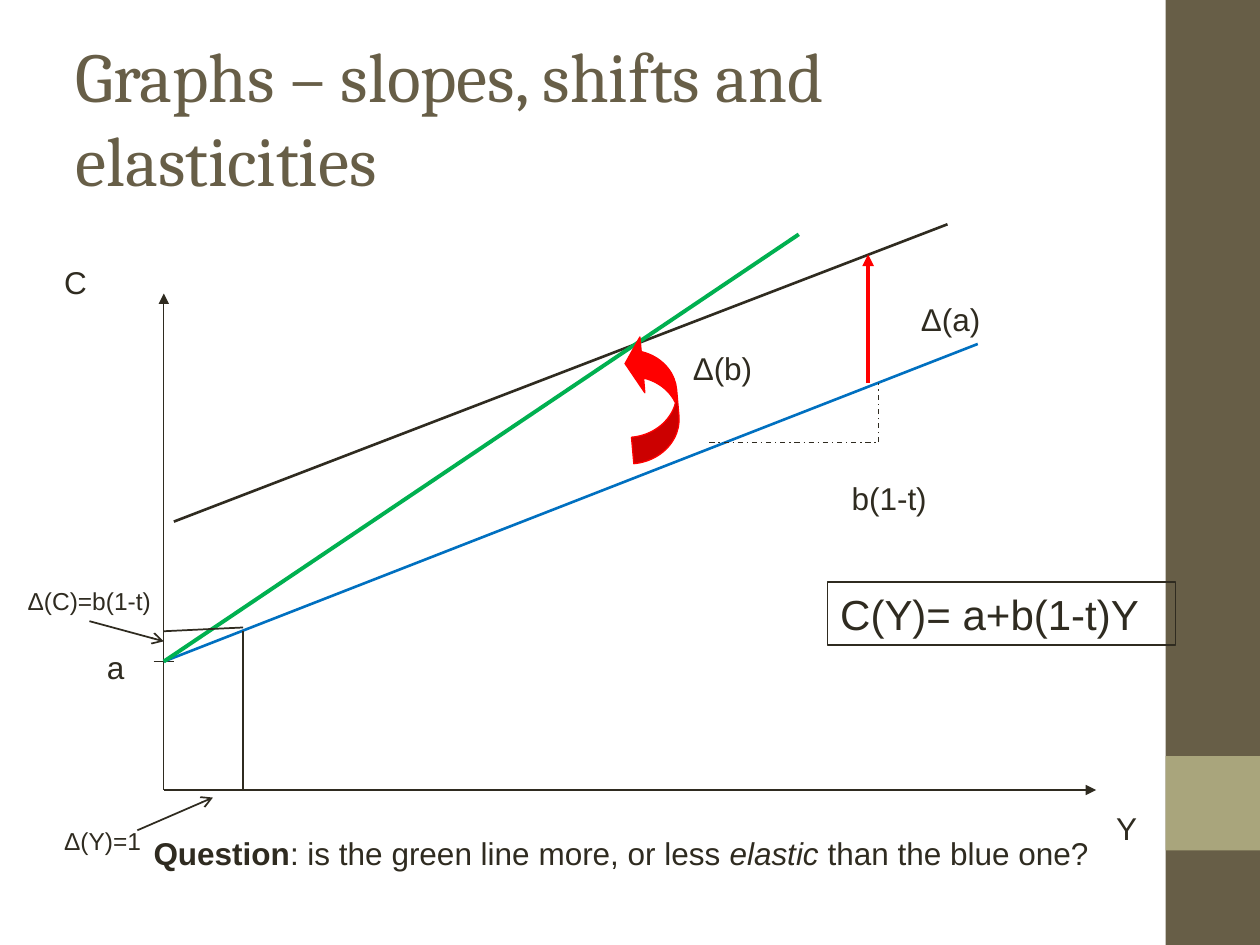
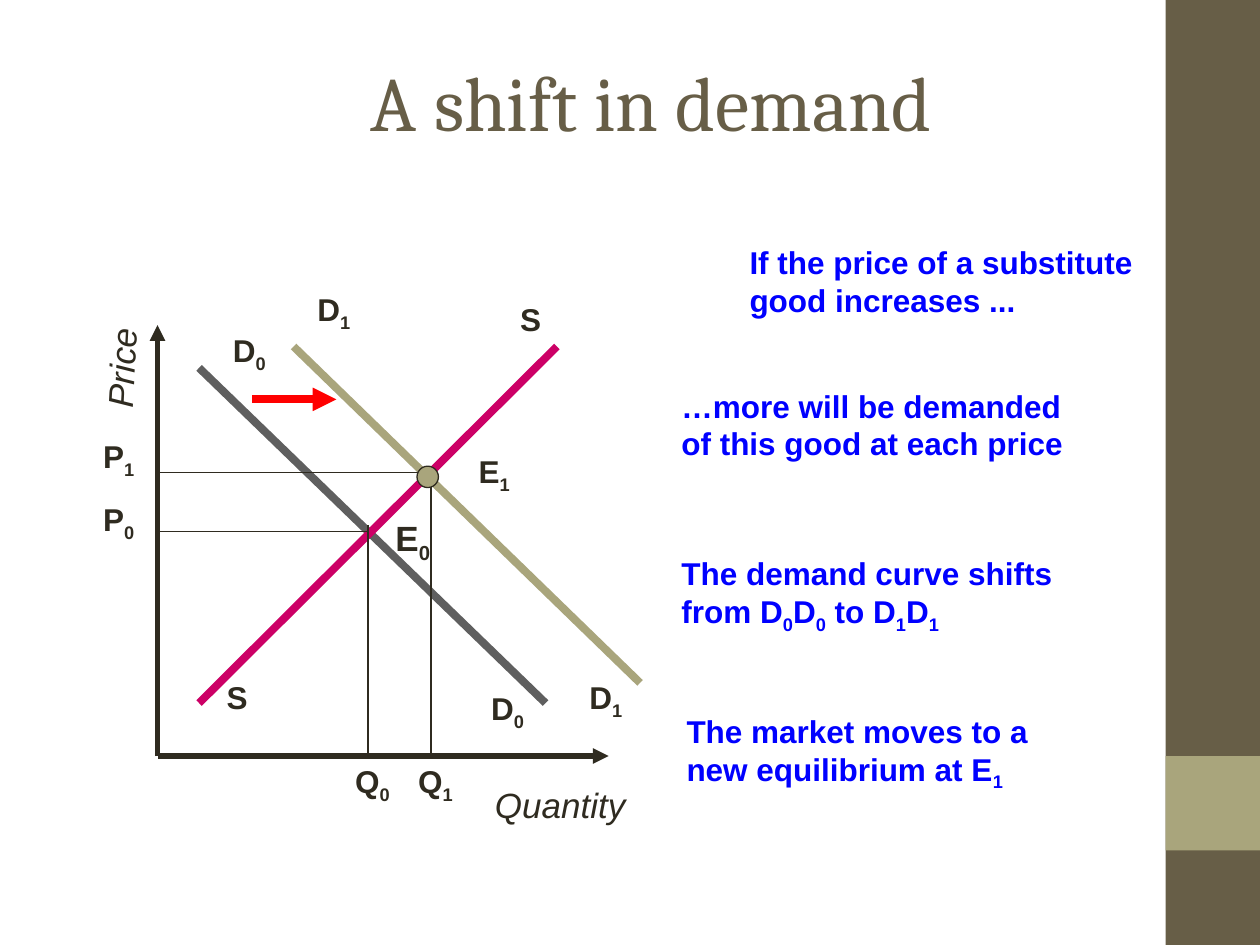
from dataclasses import dataclass
from lxml.etree import SubElement
from pptx import Presentation
from pptx.dml.color import RGBColor
from pptx.enum.dml import MSO_LINE
from pptx.enum.shapes import MSO_CONNECTOR, MSO_SHAPE
from pptx.enum.text import MSO_ANCHOR, MSO_AUTO_SIZE, PP_ALIGN
from pptx.oxml.ns import qn
from pptx.util import Inches, Pt


@dataclass(frozen=True)
class Theme:
    """Colours, fonts, type sizes and line widths of the deck."""
    ink: str = "2F2B20"
    brown: str = "675E47"
    sage: str = "A9A57C"
    red: str = "FF0000"
    green: str = "00B050"
    blue: str = "0070C0"
    note: str = "0000FF"
    grey: str = "5F5F5F"
    magenta: str = "CC0066"
    heading: str = "Cambria"
    body: str = "Arial"
    title: int = 40
    large_title: int = 44
    formula: int = 24
    axis: int = 20
    label: int = 18
    small: int = 14
    hair: float = 0.74
    thin: float = 1
    medium: float = 1.5
    strong: float = 2.25
    heavy: float = 3
    curve: float = 4.5


theme = Theme()


def add_text(page, area, paras, size=theme.label, color=theme.ink,
             font=theme.body, right_inset=0):
    """Add a text box; a para is a list of (text, style), "_" lowers the next character."""
    box = page.shapes.add_textbox(*map(Inches, area))
    frame = box.text_frame
    frame.word_wrap = True
    frame.auto_size = MSO_AUTO_SIZE.NONE
    frame.margin_right = Inches(right_inset)
    for index, pieces in enumerate(paras):
        para = frame.paragraphs[0] if index == 0 else frame.add_paragraph()
        for text, style in pieces:
            start, *rest = text.split("_")
            spans = [(start, False)]
            for part in rest:
                spans += [(part[0], True), (part[1:], False)]
            for words, lowered in spans:
                if not words:
                    continue
                span = para.add_run()
                span.text = words
                span.font.name = font
                span.font.size = Pt(size)
                span.font.bold = "b" in style
                span.font.italic = "i" in style
                span.font.color.rgb = RGBColor.from_string(color)
                if lowered:
                    span.font._element.set("baseline", "-25000")
    return box


def add_line(page, start, end, color=theme.ink, width=theme.hair, head=None, dash=None):
    """Add a straight line, with an optional arrowhead at its end."""
    line = page.shapes.add_connector(MSO_CONNECTOR.STRAIGHT,
                                     *map(Inches, (*start, *end)))
    line.line.color.rgb = RGBColor.from_string(color)
    line.line.width = Pt(width)
    if dash:
        line.line.dash_style = dash
    properties = line._element.spPr
    if head:
        SubElement(properties.find(qn("a:ln")), qn("a:tailEnd"), type=head)
    SubElement(properties, qn("a:effectLst"))


deck = Presentation()
deck.slide_width, deck.slide_height = Inches(10), Inches(7.5)
graphs, demand = [deck.slides.add_slide(deck.slide_layouts[6]) for _ in range(2)]

# Side band and titles
for page in (graphs, demand):
    for top, height, color in ((0, 7.5, theme.brown), (6, 0.75, theme.sage)):
        band = page.shapes.add_shape(MSO_SHAPE.RECTANGLE, Inches(9.25), Inches(top),
                                     Inches(0.75), Inches(height))
        band.shadow.inherit = False
        band.fill.solid()
        band.fill.fore_color.rgb = RGBColor.from_string(color)
        band.line.fill.background()

title = add_text(graphs, (0.5, 0.3, 8.33, 1.25),
                 [[("Graphs – slopes, shifts and elasticities", "")]],
                 theme.title, theme.brown, theme.heading, right_inset=0.1)
title.text_frame.vertical_anchor = MSO_ANCHOR.MIDDLE

title = add_text(demand, (0.92, 0.38, 8.5, 1.21), [[("A shift in demand", "")]],
                 theme.large_title, theme.brown, theme.heading, right_inset=0.1)
title.text_frame.paragraphs[0].alignment = PP_ALIGN.CENTER

# Slide 1: consumption function
origin = (1.3, 6.27)
intercept = (1.3, 5.25)
corner = (6.97, 3.51)
for end in ((8.7, 6.27), (1.3, 2.33)):
    add_line(graphs, origin, end, head="triangle")
add_line(graphs, (1.22, 5.25), (1.38, 5.25))
add_line(graphs, intercept, (7.76, 2.73), theme.blue, theme.medium)
for start, end in (((5.63, 3.51), corner), (corner, (6.97, 3.04))):
    add_line(graphs, start, end, dash=MSO_LINE.DASH_DOT)
add_line(graphs, (1.38, 4.14), (7.52, 1.78), width=theme.medium)
add_line(graphs, (6.89, 3.04), (6.89, 2.02), theme.red, theme.strong, "triangle")
add_line(graphs, intercept, (6.34, 1.86), theme.green, theme.strong)
for start, end, head in (
    ((1.93, 5.01), (1.93, 6.27), None),
    ((1.93, 4.98), (1.3, 5.01), None),
    ((1.09, 6.59), (1.69, 6.33), "arrow"),
    ((0.71, 4.93), (1.3, 5.09), "arrow"),
):
    add_line(graphs, start, end, width=theme.thin, head=head)

turn = graphs.shapes.add_shape(MSO_SHAPE.CURVED_UP_ARROW, Inches(4.67), Inches(2.96),
                               Inches(1.02), Inches(0.39))
turn.rotation = 265
for index, value in enumerate((0.54, 1.14, 0.35)):
    turn.adjustments[index] = value
turn.shadow.inherit = False
turn.fill.solid()
turn.fill.fore_color.rgb = RGBColor.from_string(theme.red)
turn.line.color.rgb = RGBColor.from_string(theme.red)
turn.line.width = Pt(theme.hair)

for text, left, top, width, height, size in (
    ("C", 0.41, 2.04, 0.38, 0.4, theme.label),
    ("Y", 8.76, 6.37, 0.36, 0.4, theme.label),
    ("a", 0.75, 5.09, 0.34, 0.4, theme.label),
    ("b(1-t)", 6.66, 3.75, 0.79, 0.4, theme.label),
    ("Δ(a)", 7.21, 2.33, 0.67, 0.4, theme.label),
    ("Δ(b)", 5.4, 2.72, 0.67, 0.4, theme.label),
    ("Δ(Y)=1", 0.41, 6.51, 0.81, 0.34, theme.small),
    ("Δ(C)=b(1-t)", 0.12, 4.6, 1.18, 0.34, theme.small),
):
    add_text(graphs, (left, top, width, height), [[(text, "")]], size)
formula = add_text(graphs, (6.57, 4.62, 2.76, 0.5), [[("C(Y)= a+b(1-t)Y", "")]],
                   theme.formula)
formula.line.color.rgb = RGBColor.from_string(theme.ink)
formula.line.width = Pt(theme.hair)
add_text(graphs, (1.12, 6.57, 7.62, 0.4), [[
    ("Question", "b"), (": is the green line more, or less ", ""),
    ("elastic", "i"), (" than the blue one?", "")]])

# Slide 2: supply and demand
origin = (1.25, 6)
for end in ((4.83, 6), (1.25, 2.58)):
    add_line(demand, origin, end, width=theme.heavy, head="triangle")
for start, end, color, head in (
    ((1.58, 2.92), (4.33, 5.58), theme.grey, None),
    ((1.58, 5.58), (4.42, 2.75), theme.magenta, None),
    ((2.33, 2.75), (5.08, 5.42), theme.sage, None),
    ((2, 3.17), (2.67, 3.17), theme.red, "triangle"),
):
    add_line(demand, start, end, color, theme.curve, head)
for quantity, top, price in ((2.92, 4.17, 4.22), (3.42, 3.75, 3.75)):
    add_line(demand, (quantity, top), (quantity, origin[1]))
    add_line(demand, (quantity, price), (origin[0], price))

for text, left, top, width, height, size in (
    ("D_0", 3.8, 5.42, 0.46, 0.44, theme.label),
    ("D_0", 1.75, 2.58, 0.57, 0.44, theme.label),
    ("D_1", 2.42, 2.25, 0.57, 0.44, theme.label),
    ("D_1", 4.58, 5.33, 0.57, 0.44, theme.label),
    ("S", 4.03, 2.33, 0.36, 0.4, theme.label),
    ("S", 1.7, 5.33, 0.36, 0.4, theme.label),
    ("Q_0", 2.72, 6, 0.47, 0.44, theme.label),
    ("Q_1", 3.22, 6, 0.47, 0.44, theme.label),
    ("P_0", 0.72, 3.92, 0.45, 0.44, theme.label),
    ("P_1", 0.72, 3.42, 0.45, 0.44, theme.label),
    ("E_0", 3.04, 4.05, 0.47, 0.48, theme.axis),
    ("E_1", 3.7, 3.54, 0.45, 0.44, theme.label),
):
    add_text(demand, (left, top, width, height), [[(text, "b")]], size)
price_axis = add_text(demand, (0.55, 2.7, 0.83, 0.44), [[("Price", "i")]], theme.axis)
price_axis.rotation = 273.1
add_text(demand, (3.83, 6.17, 1.23, 0.44), [[("Quantity", "i")]], theme.axis)

for area, lines in (
    ((5.85, 1.88, 3.31, 0.7), ("If the price of a substitute", "good increases ...")),
    ((5.31, 3.02, 3.3, 0.7), ("…more will be demanded of this good at each price",)),
    ((5.31, 4.35, 3.14, 0.74), ("The demand curve shifts", "from D_0D_0 to D_1D_1")),
    ((5.35, 5.6, 2.98, 0.74), ("The market moves to a", "new equilibrium at E_1")),
):
    add_text(demand, area, [[(line, "b")] for line in lines], color=theme.note)

equilibrium = demand.shapes.add_shape(MSO_SHAPE.OVAL, Inches(3.31), Inches(3.7),
                                      Inches(0.17), Inches(0.17))
equilibrium.shadow.inherit = False
equilibrium.fill.solid()
equilibrium.fill.fore_color.rgb = RGBColor.from_string(theme.sage)
equilibrium.line.color.rgb = RGBColor.from_string(theme.ink)
equilibrium.line.width = Pt(theme.hair)

deck.save("out.pptx")
